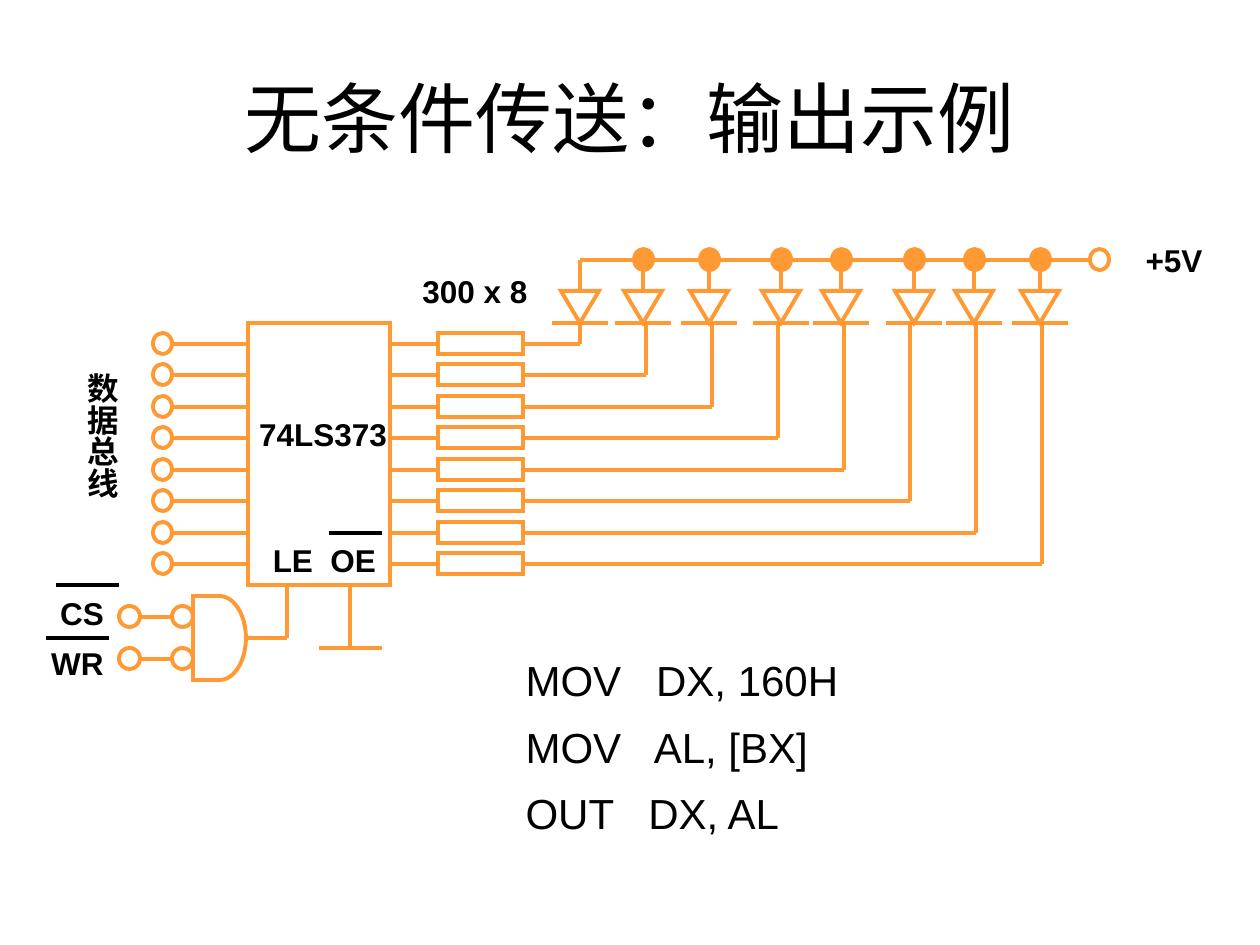
from dataclasses import dataclass

from lxml.etree import SubElement
from pptx import Presentation
from pptx.dml.color import RGBColor
from pptx.enum.shapes import MSO_CONNECTOR as Connector, MSO_SHAPE as Shape
from pptx.enum.text import MSO_ANCHOR as Anchor, MSO_AUTO_SIZE as AutoSize, PP_ALIGN as Align
from pptx.oxml.ns import qn
from pptx.util import Emu, Pt

PX_PER_INCH = 126
ORANGE = "FF9933"
BLACK = "000000"
BUS_Y, ANODE_Y, CATHODE_Y = 260, 291, 323
ROW_COUNT = 8
DIODE_CENTRES = [580, 643, 709, 781, 841, 914, 974, 1040]


@dataclass
class Wire:
    x1: int
    y1: int
    x2: int
    y2: int
    color: str = ORANGE


@dataclass
class Part:
    kind: Shape
    x: int
    y: int
    width: int
    height: int
    filled: bool = False
    flipped: bool = False


@dataclass
class Label:
    text: str
    x: int
    y: int
    width: int
    height: int = 50
    vertical: bool = False


def px(length: int) -> Emu:
    """Turn pixels into EMU."""
    return Emu(round(length * 914400 / PX_PER_INCH))


def rgb(value: str) -> RGBColor:
    """Turn a hex string into a colour."""
    return RGBColor.from_string(value)


def style_font(para, name: str, size: int, bold: bool = False) -> None:
    """Format every run of a paragraph in black."""
    for span in para.runs:
        span.font.name = name
        span.font.size = Pt(size)
        span.font.bold = bold
        span.font.color.rgb = rgb(BLACK)


def place(box, x: int, y: int, width: int, height: int) -> None:
    """Move and size a placeholder."""
    box.left, box.top, box.width, box.height = px(x), px(y), px(width), px(height)


def draw_wire(page, wire: Wire) -> None:
    """Draw a straight line without a shadow."""
    line = page.shapes.add_connector(
        Connector.STRAIGHT, px(wire.x1), px(wire.y1), px(wire.x2), px(wire.y2))
    line.line.color.rgb = rgb(wire.color)
    line.line.width = Pt(2.25)
    SubElement(line._element.spPr, qn("a:effectLst"))


def draw_part(page, part: Part) -> None:
    """Draw an outlined or solid circuit symbol with sharp corners."""
    shape = page.shapes.add_shape(
        part.kind, px(part.x), px(part.y), px(part.width), px(part.height))
    shape.shadow.inherit = False
    shape.line.color.rgb = rgb(ORANGE)
    shape.line.width = Pt(2.25)
    properties = shape._element.spPr
    SubElement(properties.find(qn("a:ln")), qn("a:miter")).set("lim", "800000")
    if part.filled:
        shape.fill.solid()
        shape.fill.fore_color.rgb = rgb(ORANGE)
    else:
        shape.fill.background()
    if part.flipped:
        properties.find(qn("a:xfrm")).set("flipV", "1")


def draw_label(page, label: Label) -> None:
    """Draw a bold, centred caption on one line."""
    box = page.shapes.add_textbox(px(label.x), px(label.y), px(label.width), px(label.height))
    frame = box.text_frame
    frame.text = label.text
    frame.word_wrap = False
    frame.auto_size = AutoSize.NONE
    frame.vertical_anchor = Anchor.MIDDLE
    frame.margin_left = frame.margin_right = 0
    frame.margin_top = frame.margin_bottom = 0
    if label.vertical:
        frame._txBody.bodyPr.set("vert", "eaVert")
    frame.paragraphs[0].alignment = Align.CENTER
    style_font(frame.paragraphs[0], "Arial", 18, True)


def draw_row(page, index: int) -> None:
    """Draw one data line from the bus through its resistor to its diode."""
    y = 344 + 63 * index // 2
    drop_x = 580 + 66 * index
    for wire in (Wire(171, y, 248, y), Wire(391, y, 437, y),
                 Wire(523, y, drop_x, y), Wire(drop_x, CATHODE_Y, drop_x, y)):
        draw_wire(page, wire)
    draw_part(page, Part(Shape.OVAL, 153, y - 11, 19, 21))
    draw_part(page, Part(Shape.RECTANGLE, 438, y - 11, 85, 21))


def draw_diode(page, x: int, joined: bool) -> None:
    """Draw a diode hanging from the supply line."""
    draw_wire(page, Wire(x, ANODE_Y, x, BUS_Y))
    draw_wire(page, Wire(x - 28, CATHODE_Y, x + 28, CATHODE_Y))
    draw_part(page, Part(Shape.ISOSCELES_TRIANGLE, x - 19, ANODE_Y, 38, 32, flipped=True))
    if joined:
        draw_part(page, Part(Shape.OVAL, x - 9, BUS_Y - 11, 19, 21, filled=True))


def draw_gate_input(page, y: int) -> None:
    """Draw an inverted gate input with its terminal."""
    for x in (119, 172):
        draw_part(page, Part(Shape.FLOWCHART_CONNECTOR, x, y - 11, 21, 21))
    draw_wire(page, Wire(140, y, 172, y))


def write_title(page) -> None:
    """Fill the title placeholder."""
    title = page.shapes.title
    place(title, 63, 38, 1134, 157)
    title.text_frame.text = "无条件传送：输出示例"
    title.text_frame.vertical_anchor = Anchor.MIDDLE
    title.text_frame.paragraphs[0].alignment = Align.CENTER
    style_font(title.text_frame.paragraphs[0], "Calibri", 44)


def write_code(page) -> None:
    """Fill the body placeholder with the program."""
    body = page.placeholders[1]
    place(body, 513, 648, 389, 209)
    frame = body.text_frame
    frame.text = "MOV   DX, 160H\nMOV   AL, [BX]\nOUT   DX, AL"
    frame.auto_size = AutoSize.NONE
    for index, para in enumerate(frame.paragraphs):
        properties = para._p.get_or_add_pPr()
        properties.set("marL", str(px(48)))
        properties.set("indent", str(px(-48)))
        SubElement(properties, qn("a:buNone"))
        para.space_before = Pt(15 if index else 0)
        para.line_spacing = 0.8 if index else 1.0
        style_font(para, "Arial", 24)


def main() -> None:
    """Build the slide."""
    deck = Presentation()
    deck.slide_width, deck.slide_height = px(1260), px(945)
    page = deck.slides.add_slide(deck.slide_layouts[1])
    write_title(page)
    write_code(page)

    for index in range(ROW_COUNT):
        draw_row(page, index)
    for index, x in enumerate(DIODE_CENTRES):
        draw_diode(page, x, joined=index > 0)
    for y in (617, 659):
        draw_gate_input(page, y)

    for part in (Part(Shape.RECTANGLE, 248, 323, 142, 262),
                 Part(Shape.OVAL, 1090, BUS_Y - 11, 19, 21),
                 Part(Shape.FLOWCHART_DELAY, 193, 596, 53, 84)):
        draw_part(page, part)
    for wire in (Wire(1090, BUS_Y, 580, BUS_Y),
                 Wire(287, 585, 287, 638), Wire(246, 638, 287, 638),
                 Wire(350, 585, 350, 648), Wire(319, 648, 382, 648),
                 Wire(329, 533, 382, 533, BLACK),
                 Wire(56, 585, 119, 585, BLACK), Wire(46, 638, 109, 638, BLACK)):
        draw_wire(page, wire)
    for label in (Label("+5V", 1133, 235, 82), Label("300 x 8", 410, 266, 130),
                  Label("74LS373", 247, 409, 152), Label("LE  OE", 260, 535, 129),
                  Label("数据总线", 71, 373, 63, 139, vertical=True),
                  Label("CS", 48, 588, 68), Label("WR", 39, 638, 77)):
        draw_label(page, label)
    deck.save("out.pptx")


if __name__ == "__main__":
    main()
